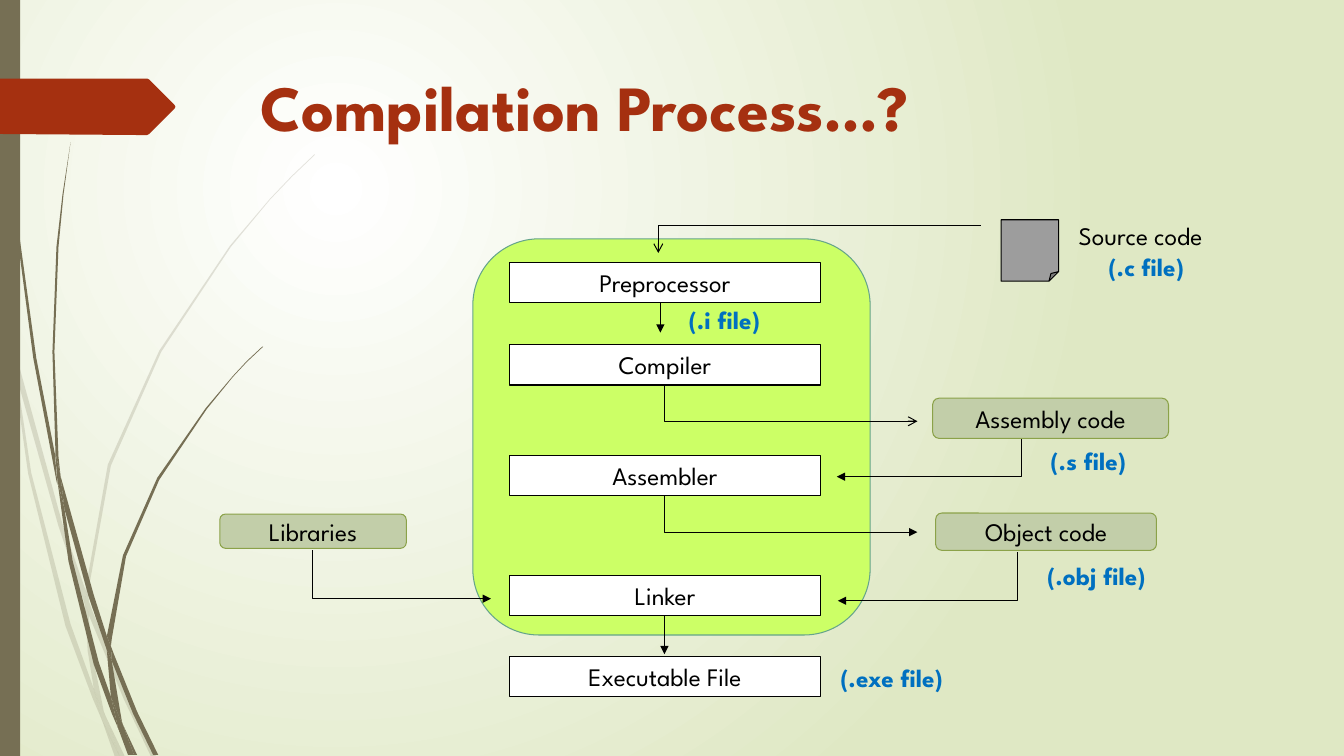
import pptx
import pptx.util
import pptx.dml.color
import pptx.enum.shapes
import pptx.enum.text
import pptx.oxml
import pptx.oxml.ns

Inches = pptx.util.Inches
RGBColor = pptx.dml.color.RGBColor
SHAPE = pptx.enum.shapes.MSO_SHAPE
LINK = pptx.enum.shapes.MSO_CONNECTOR
ALIGN = pptx.enum.text.PP_ALIGN
ANCHOR = pptx.enum.text.MSO_ANCHOR
FIT = pptx.enum.text.MSO_AUTO_SIZE
qn = pptx.oxml.ns.qn

WHITE = RGBColor(0xFF, 0xFF, 0xFF)
BLACK = RGBColor(0, 0, 0)
PALE = RGBColor(0xDF, 0xE8, 0xC4)
BROWN = RGBColor(0x76, 0x6F, 0x54)
RUST = RGBColor(0xA5, 0x30, 0x10)
SAGE = RGBColor(0xC2, 0xCE, 0xA9)
OLIVE = RGBColor(0x8B, 0xA2, 0x49)
LIME = RGBColor(0xCC, 0xFF, 0x66)
TEAL = RGBColor(0x65, 0xA4, 0x8B)
GRAY = RGBColor(0x9D, 0x9D, 0x9D)
BLUE = RGBColor(0x00, 0x70, 0xC0)

BODY = {"name": "League Spartan", "size": pptx.util.Pt(18), "bold": False}
NOTE = {**BODY, "bold": True}
HEAD = {**NOTE, "size": pptx.util.Pt(46)}

FAINT = [
    "11 350 9 322 0 282 0 299 10 344",
    "58 522 84 599 85 586 62 520 14 345 17 376",
    "92 607 88 596 88 610 123 694 150 751 155 751 127 692",
    "119 751 124 751 105 711",
    "93 683 70 619 31 469 17 376 11 350 28 470 65 621 92 693 101 714 99 707",
    "84 599 87 646 93 683 96 692 105 711 103 706 91 646 88 610 88 608",
    "88 584 110 462 160 349 229 245 268 198 290 175 312 154 312 153 289 175 "
    "268 197 228 244 158 348 107 461 85 584 85 586 88 596",
    "101 714 114 751 119 751",
    "88 608 88 610 88 596 85 586 84 599",
    "96 692 93 683 99 707 101 714 119 751 105 711",
]
STRONG = [
    "7 110 17 233 33 355 56 477 57 481 55 457 55 453 36 355 19 232 8 109 "
    "5 48 4 0 3 0 4 48",
    "88 592 106 645 106 633 106 631 93 590 60 472 64 505",
    "113 649 110 641 111 656 132 708 152 749 157 749 136 706",
    "110 691 98 657 72 556 64 505 57 477 68 557 93 659 111 708 117 722 116 717",
    "60 472 58 453 54 349 58 245 63 193 70 141 62 193 56 245 52 349 55 449",
    "133 749 136 749 122 719",
    "57 477 64 505 60 472 55 449 55 453",
    "111 633 125 552 158 476 205 406 231 374 245 359 261 344 260 344 245 358 "
    "231 373 204 405 156 474 122 551 106 631 110 641",
    "117 722 127 749 131 749",
    "106 645 110 691 116 706 122 719 121 716 111 656 109 651",
    "106 645 109 651 111 656 110 641 106 631 106 633",
    "116 706 110 691 116 717 117 722 130 749 133 749 122 719",
]
BANNER = "173 108 148 133 146 134 136 134 0 133 0 78 136 78 146 78 148 79 173 104 174 106"


class Sketch:
    def __init__(self, deck):
        self.slide = deck.slides.add_slide(deck.slide_layouts[5])
        self.shapes = self.slide.shapes

    def back(self, near, far):
        fill = self.slide.background.fill
        fill.gradient()
        for stop, tint, place in zip(fill.gradient_stops, (near, far), (0, 1)):
            stop.color.rgb = tint
            stop.position = place
        grad = self.slide.element.find(".//" + qn("a:gradFill"))
        grad.remove(grad.find(qn("a:lin")))
        glow = pptx.oxml.parse_xml(
            '<a:path xmlns:a="http://schemas.openxmlformats.org/drawingml/2006/main" path="circle">'
            '<a:fillToRect l="50000" t="50000" r="100000" b="100000"/></a:path>')
        grad.append(glow)

    def paint(self, shape, fill, line=None):
        shape.shadow.inherit = False
        shape.fill.solid()
        shape.fill.fore_color.rgb = fill
        if line is None:
            shape.line.fill.background()
        else:
            shape.line.color.rgb = line
            shape.line.width = pptx.util.Pt(0.75)

    def put(self, par, text, look, tint, align=ALIGN.CENTER):
        par.alignment = align
        run = par.add_run()
        run.text = text
        for key, value in look.items():
            setattr(run.font, key, value)
        run.font.color.rgb = tint

    def title(self, text, *spot):
        shape = self.shapes.title
        shape.left, shape.top, shape.width, shape.height = map(Inches, spot)
        frame = shape.text_frame
        frame.vertical_anchor = ANCHOR.TOP
        frame.auto_size = FIT.NONE
        self.put(frame.paragraphs[0], text, HEAD, RUST, ALIGN.LEFT)

    def form(self, home, data, fill, alpha=None):
        nums = [int(num) for num in data.split()]
        dots = list(zip(nums[::2], nums[1::2]))
        pen = home.build_freeform(*dots[0], scale=Inches(0.01))
        pen.add_line_segments(dots[1:], close=True)
        shape = pen.convert_to_shape()
        self.paint(shape, fill)
        if alpha:
            tint = shape.element.spPr.find(".//" + qn("a:srgbClr"))
            tint.append(tint.makeelement(qn("a:alpha"), {"val": str(alpha * 1000)}))

    def wisps(self, data, alpha=None):
        group = self.shapes.add_group_shape()
        for item in data:
            self.form(group.shapes, item, BROWN, alpha)

    def box(self, kind, spot, fill, line=None, text=None):
        shape = self.shapes.add_shape(kind, *map(Inches, spot))
        self.paint(shape, fill, line)
        if text:
            frame = shape.text_frame
            frame.word_wrap = True
            frame.vertical_anchor = ANCHOR.MIDDLE
            self.put(frame.paragraphs[0], text, BODY, BLACK)

    def label(self, spot, note, lead=None):
        frame = self.shapes.add_textbox(*map(Inches, spot)).text_frame
        frame.word_wrap = True
        frame.auto_size = FIT.SHAPE_TO_FIT_TEXT
        par = frame.paragraphs[0]
        if lead:
            self.put(par, lead, BODY, BLACK, ALIGN.LEFT)
            par = frame.add_paragraph()
        self.put(par, note, NOTE, BLUE)

    def arrow(self, start, stop, kind=LINK.STRAIGHT, end="tailEnd", tip="triangle"):
        link = self.shapes.add_connector(kind, *map(Inches, start + stop))
        link.line.color.rgb = BLACK
        link.line.width = pptx.util.Pt(0.75)
        props = link.element.spPr
        if kind == LINK.ELBOW:
            props.find(qn("a:prstGeom")).set("prst", "bentConnector2")
        line = props.find(qn("a:ln"))
        line.append(line.makeelement(qn("a:" + end), {"type": tip}))
        props.append(props.makeelement(qn("a:effectLst"), {}))

    def bend(self, start, stop, tip="triangle"):
        self.arrow(stop, start, LINK.ELBOW, "headEnd", tip)


def main():
    deck = pptx.Presentation()
    deck.slide_width, deck.slide_height = Inches(13.33), Inches(7.5)
    page = Sketch(deck)
    page.back(WHITE, PALE)
    page.wisps(FAINT, 20)
    page.wisps(STRONG)
    page.box(SHAPE.RECTANGLE, (0, 0, 0.2, 7.5), BROWN)
    page.form(page.shapes, BANNER, RUST)
    page.title("Compilation Process…?", 2.48, 0.62, 9.42, 1.15)

    page.box(SHAPE.ROUNDED_RECTANGLE, (4.69, 2.37, 3.94, 3.93), LIME, TEAL)
    for text, top in (("Preprocessor", 2.6), ("Compiler", 3.42), ("Assembler", 4.52),
                      ("Linker", 5.71), ("Executable File", 6.51)):
        page.box(SHAPE.RECTANGLE, (5.05, top, 3.09, 0.4), WHITE, BLACK, text)
    for text, *spot in (("Assembly code", 9.25, 3.95, 2.34, 0.4),
                        ("Object code", 9.28, 5.09, 2.19, 0.37),
                        ("Libraries", 2.18, 5.1, 1.85, 0.34)):
        page.box(SHAPE.ROUNDED_RECTANGLE, spot, SAGE, OLIVE, text)
    page.box(SHAPE.FOLDED_CORNER, (9.93, 2.18, 0.57, 0.61), GRAY, BLACK)

    page.arrow((9.73, 2.24), (6.53, 2.51), LINK.ELBOW, tip="arrow")
    page.bend((6.59, 3.82), (9.1, 4.18), "arrow")
    page.bend((10.13, 4.36), (8.3, 4.73))
    page.bend((6.59, 4.92), (9.1, 5.28))
    page.bend((10.09, 5.48), (8.31, 5.96))
    page.bend((3.1, 5.46), (4.87, 5.94))
    page.arrow((6.59, 6.11), (6.59, 6.49))
    page.arrow((6.55, 3), (6.55, 3.3))

    page.label((10.6, 2.14, 1.54, 0.71), "(.c file)", "Source code")
    for note, left, top, width in (("(.s file)", 10.27, 4.37, 1.05),
                                   ("(.obj file)", 10.22, 5.51, 1.31),
                                   ("(.exe file)", 8.13, 6.52, 1.43),
                                   ("(.i file)", 6.66, 2.97, 1.05)):
        page.label((left, top, width, 0.4), note)
    deck.save("out.pptx")


if __name__ == "__main__":
    main()
